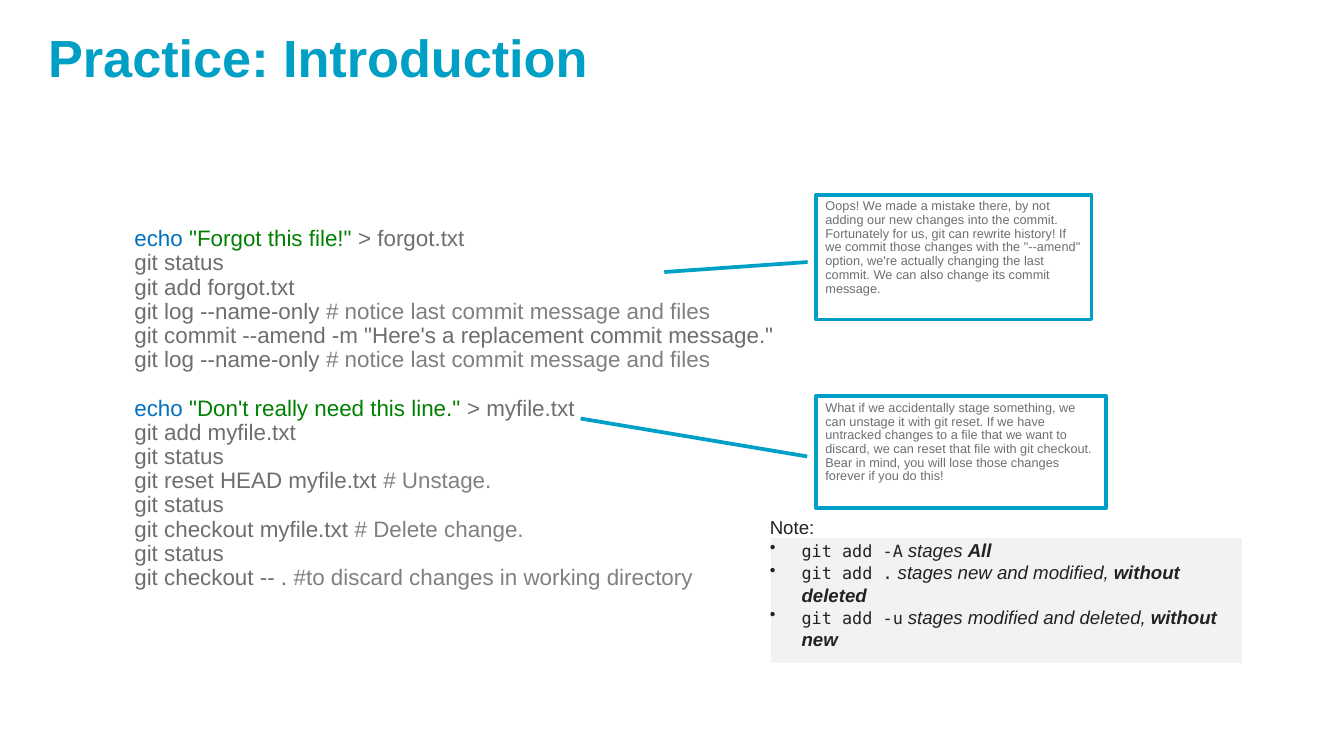
import pptx
import pptx.dml.color
import pptx.enum.shapes
import pptx.enum.text
import pptx.util
import lxml.etree
from pptx.util import Cm

COLORS = {
    "accent": "009FC5", "body": "6D6E70", "comment": "808080",
    "command": "0070C0", "string": "008000", "note": "222222",
    "panel": "F2F2F2", "white": "FFFFFF",
}
ALIGN = pptx.enum.text.PP_ALIGN
ANCHOR = pptx.enum.text.MSO_ANCHOR
SHAPE = pptx.enum.shapes.MSO_SHAPE


def color(name):
    return pptx.dml.color.RGBColor.from_string(COLORS[name])


def add_text(paragraph, text, size=12, tint="body", font="Arial", bold=False, italic=False):
    run = paragraph.add_run()
    run.text = text
    run.font.size = pptx.util.Pt(size)
    run.font.name = font
    run.font.bold = bold
    run.font.italic = italic
    run.font.color.rgb = color(tint)


class SlideBuilder:
    line_spacing = 0.9
    mono = "DejaVu Sans Mono"

    def __init__(self, slide):
        self.slide = slide

    def prepare_frame(self, shape, horizontal, top, bottom, anchor=ANCHOR.TOP):
        frame = shape.text_frame
        frame.word_wrap = True
        frame.vertical_anchor = anchor
        frame.margin_left = frame.margin_right = Cm(horizontal)
        frame.margin_top, frame.margin_bottom = Cm(top), Cm(bottom)
        return frame

    def paragraph(self, frame, index=0, align=ALIGN.LEFT, spacing=line_spacing):
        paragraph = frame.add_paragraph() if index else frame.paragraphs[0]
        paragraph.alignment = align
        paragraph.line_spacing = spacing
        return paragraph

    def box(self, preset, position, fill, line, width):
        shape = self.slide.shapes.add_shape(preset, *map(Cm, position))
        shape.shadow.inherit = False
        shape.fill.solid()
        shape.fill.fore_color.rgb = color(fill)
        shape.line.color.rgb = color(line)
        shape.line.width = pptx.util.Pt(width)
        return shape

    def title(self, text, position):
        shape = self.slide.shapes.add_textbox(*map(Cm, position))
        frame = self.prepare_frame(shape, 0, 0, 0)
        add_text(self.paragraph(frame), text, size=28, tint="accent", bold=True)

    def code(self, blocks, position):
        shape = self.slide.shapes.add_textbox(*map(Cm, position))
        frame = self.prepare_frame(shape, 0.25, 0.13, 0.13)
        index = 0
        for block in blocks:
            for number, line in enumerate(block):
                paragraph = self.paragraph(frame, index, ALIGN.JUSTIFY)
                if index and number == 0:
                    paragraph.space_before = pptx.util.Pt(13)
                for text, tint in line:
                    add_text(paragraph, text, tint=tint)
                index += 1

    def callout(self, text, position, pointer):
        shape = self.box(SHAPE.LINE_CALLOUT_1, position, "white", "accent", 2)
        for index, value in enumerate(pointer):
            shape.adjustments[index] = value
        frame = self.prepare_frame(shape, 0.18, 0.1, 0.1)
        add_text(self.paragraph(frame), text, size=6.8)

    def bullet(self, paragraph):
        properties = paragraph._p.get_or_add_pPr()
        properties.set("marL", str(Cm(0.6)))
        properties.set("indent", str(-Cm(0.6)))
        mark = lxml.etree.SubElement(properties, pptx.oxml.ns.qn("a:buChar"))
        mark.set("char", "•")

    def note(self, heading, items, position):
        shape = self.box(SHAPE.RECTANGLE, position, "panel", "white", 0.75)
        frame = self.prepare_frame(shape, 0, 0, 0.25, ANCHOR.BOTTOM)
        add_text(self.paragraph(frame, spacing=1.0), heading, size=10, tint="note")
        for index, (command, meaning, stress) in enumerate(items, 1):
            paragraph = self.paragraph(frame, index, spacing=1.0)
            self.bullet(paragraph)
            add_text(paragraph, command, size=9, tint="note", font=self.mono)
            add_text(paragraph, f" {meaning} ", size=10, tint="note", italic=True)
            add_text(paragraph, stress, size=10, tint="note", bold=True, italic=True)


def plain(command, comment=""):
    """A command line, with its comment if it has one."""
    if comment:
        return [(command + " ", "body"), (comment, "comment")]
    return [(command, "body")]


def echo(string, target):
    return [("echo ", "command"), (f'"{string}" ', "string"), (f"> {target}", "body")]


LOG = plain("git log --name-only", "# notice last commit message and files")
STATUS = plain("git status")
CODE_BLOCKS = [
    [
        echo("Forgot this file!", "forgot.txt"),
        STATUS,
        plain("git add forgot.txt"),
        LOG,
        plain('git commit --amend -m "Here\'s a replacement commit message."'),
        LOG,
    ],
    [
        echo("Don't really need this line.", "myfile.txt"),
        plain("git add myfile.txt"),
        STATUS,
        plain("git reset HEAD myfile.txt", "# Unstage."),
        STATUS,
        plain("git checkout myfile.txt", "# Delete change."),
        STATUS,
        plain("git checkout -- .", "#to discard changes in working directory"),
    ],
]
AMEND_TEXT = (
    "Oops! We made a mistake there, by not adding our new changes into the commit. "
    "Fortunately for us, git can rewrite history! If we commit those changes with the "
    "\"--amend\" option, we're actually changing the last commit. "
    "We can also change its commit message."
)
RESET_TEXT = (
    "What if we accidentally stage something, we can unstage it with git reset. "
    "If we have untracked changes to a file that we want to discard, we can reset that "
    "file with git checkout. Bear in mind, you will lose those changes forever if you do this!"
)
NOTE_ITEMS = [
    ("git add -A", "stages", "All"),
    ("git add .", "stages new and modified,", "without deleted"),
    ("git add -u", "stages modified and deleted,", "without new"),
]


def main():
    presentation = pptx.Presentation()
    presentation.slide_width, presentation.slide_height = Cm(25.4), Cm(14.29)
    builder = SlideBuilder(presentation.slides.add_slide(presentation.slide_layouts[6]))

    # Title and commands
    builder.title("Practice: Introduction", (0.91, 0.61, 24.13, 2.16))
    builder.code(CODE_BLOCKS, (2.29, 4.17, 14.4, 7.65))

    # Callouts; the pointer is start y, start x, end y, end x as shares of the box
    builder.callout(AMEND_TEXT, (15.42, 3.68, 5.21, 2.36), (0.54, -0.03, 0.62, -0.55))
    builder.callout(RESET_TEXT, (15.42, 7.49, 5.49, 2.11), (0.54, -0.03, 0.2, -0.81))

    # Note on the staging options
    builder.note("Note:", NOTE_ITEMS, (14.55, 10.16, 8.94, 2.39))

    presentation.save("out.pptx")


if __name__ == "__main__":
    main()
